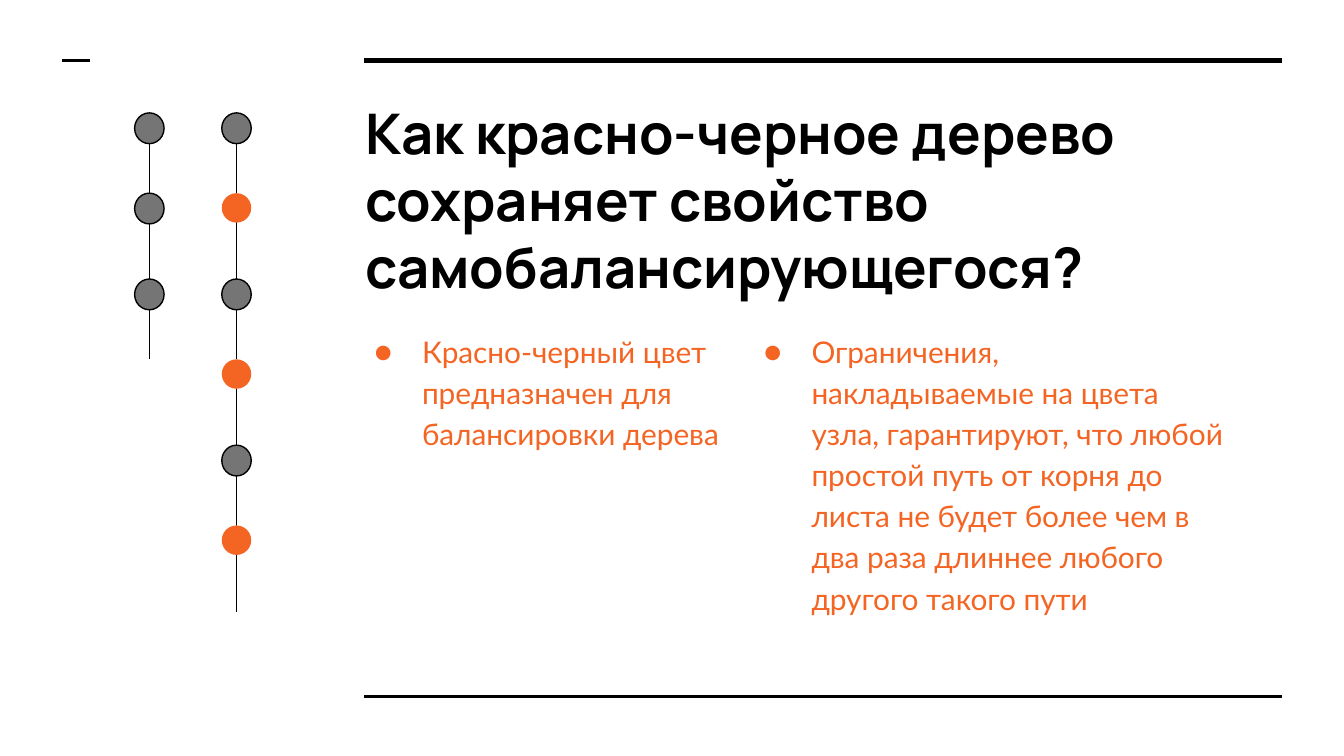
"""Build a slide on how a red-black tree keeps itself balanced."""
import pptx
import pptx.dml.color
import pptx.enum.shapes
import pptx.enum.text
import pptx.oxml.ns
import pptx.util
from lxml import etree

Pt = pptx.util.Pt
COLORS = {"black": "000000", "orange": "F46524", "gray": "757575"}
TITLE = "Как красно-черное дерево сохраняет свойство самобалансирующегося?"
PURPOSE = "Красно-черный цвет предназначен для балансировки дерева"
LIMITS = (
    "Ограничения, накладываемые на цвета узла, гарантируют, что любой простой "
    "путь от корня до листа не будет более чем в два раза длиннее любого "
    "другого такого пути"
)
CHAINS = [
    (80, ["gray"] * 3),
    (126.7, ["gray", "orange"] * 3),
]
RULES = [(195, 687, 32.4, 3), (195, 687, 373, 1.5), (33.5, 48, 32.4, 1.5)]
NODE_WIDTH = 15.8
STEM_LENGTH = 43.8


def rgb(name):
    return pptx.dml.color.RGBColor.from_string(COLORS[name])


def add_line(slide, start, end, width):
    connector = slide.shapes.add_connector(
        pptx.enum.shapes.MSO_CONNECTOR.STRAIGHT, *map(Pt, start + end)
    )
    connector.line.color.rgb = rgb("black")
    connector.line.width = Pt(width)
    properties = connector._element.spPr
    etree.SubElement(properties, pptx.oxml.ns.qn("a:effectLst"))


def add_node(slide, center, top, color):
    height = 16.5 if color == "gray" else NODE_WIDTH
    node = slide.shapes.add_shape(
        pptx.enum.shapes.MSO_SHAPE.OVAL,
        Pt(center - NODE_WIDTH / 2), Pt(top), Pt(NODE_WIDTH), Pt(height),
    )
    node.shadow.inherit = False
    node.fill.solid()
    node.fill.fore_color.rgb = rgb(color)
    if color == "gray":
        node.line.color.rgb = rgb("black")
        node.line.width = Pt(0.75)
    else:
        node.line.fill.background()


def add_chain(slide, center, colors):
    for index, color in enumerate(colors):
        pair, second = divmod(index, 2)
        top = 60.5 + 89 * pair + 43 * second
        stem_top = top + (2.5 if second else -0.7)
        add_line(slide, (center, stem_top), (center, stem_top + STEM_LENGTH), 0.75)
        add_node(slide, center, top, color)


def format_frame(frame):
    frame.word_wrap = True
    frame.auto_size = pptx.enum.text.MSO_AUTO_SIZE.NONE
    frame.vertical_anchor = pptx.enum.text.MSO_ANCHOR.TOP
    frame.margin_left = frame.margin_right = Pt(7.2)
    frame.margin_top = frame.margin_bottom = Pt(7.2)


def format_font(font, name, size, color, bold=False):
    font.name = name
    font.size = Pt(size)
    font.color.rgb = rgb(color)
    font.bold = bold


def add_bullet(paragraph, color):
    qn = pptx.oxml.ns.qn
    properties = paragraph._p.get_or_add_pPr()
    properties.set("marL", str(Pt(36)))
    properties.set("indent", str(-Pt(25.6)))
    bullet_color = etree.SubElement(properties, qn("a:buClr"))
    etree.SubElement(bullet_color, qn("a:srgbClr"), val=COLORS[color])
    etree.SubElement(properties, qn("a:buFont"), typeface="Lato")
    etree.SubElement(properties, qn("a:buChar"), char="●")


def set_title(slide):
    title = slide.shapes.title
    title.left, title.top, title.width, title.height = map(Pt, (188.6, 45.4, 497.5, 49.7))
    title.text_frame.text = TITLE
    format_frame(title.text_frame)
    paragraph = title.text_frame.paragraphs[0]
    paragraph.alignment = pptx.enum.text.PP_ALIGN.LEFT
    format_font(paragraph.font, "Manrope", 30, "black", bold=True)


def add_point(slide, left, width, text):
    box = slide.shapes.add_textbox(Pt(left), Pt(168.5), Pt(width), Pt(236))
    format_frame(box.text_frame)
    paragraph = box.text_frame.paragraphs[0]
    paragraph.text = text
    paragraph.line_spacing = 1.15
    add_bullet(paragraph, "orange")
    format_font(paragraph.font, "Lato", 16, "orange")


def main():
    presentation = pptx.Presentation()
    presentation.slide_width, presentation.slide_height = Pt(720), Pt(405)
    slide = presentation.slides.add_slide(presentation.slide_layouts[5])
    for left, right, height, width in RULES:
        add_line(slide, (left, height), (right, height), width)
    set_title(slide)
    add_point(slide, 183, 245.5, PURPOSE)
    add_point(slide, 391.7, 270.7, LIMITS)
    for center, colors in CHAINS:
        add_chain(slide, center, colors)
    presentation.save("out.pptx")


if __name__ == "__main__":
    main()
